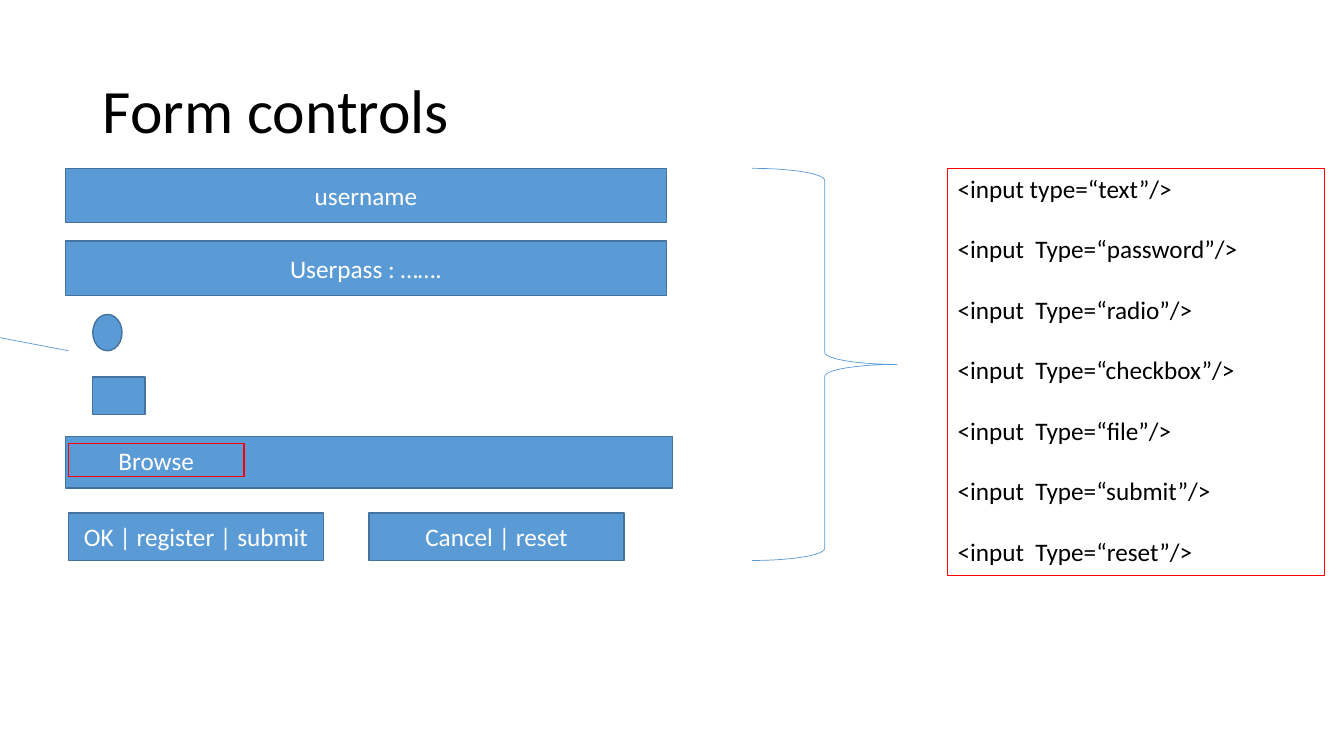
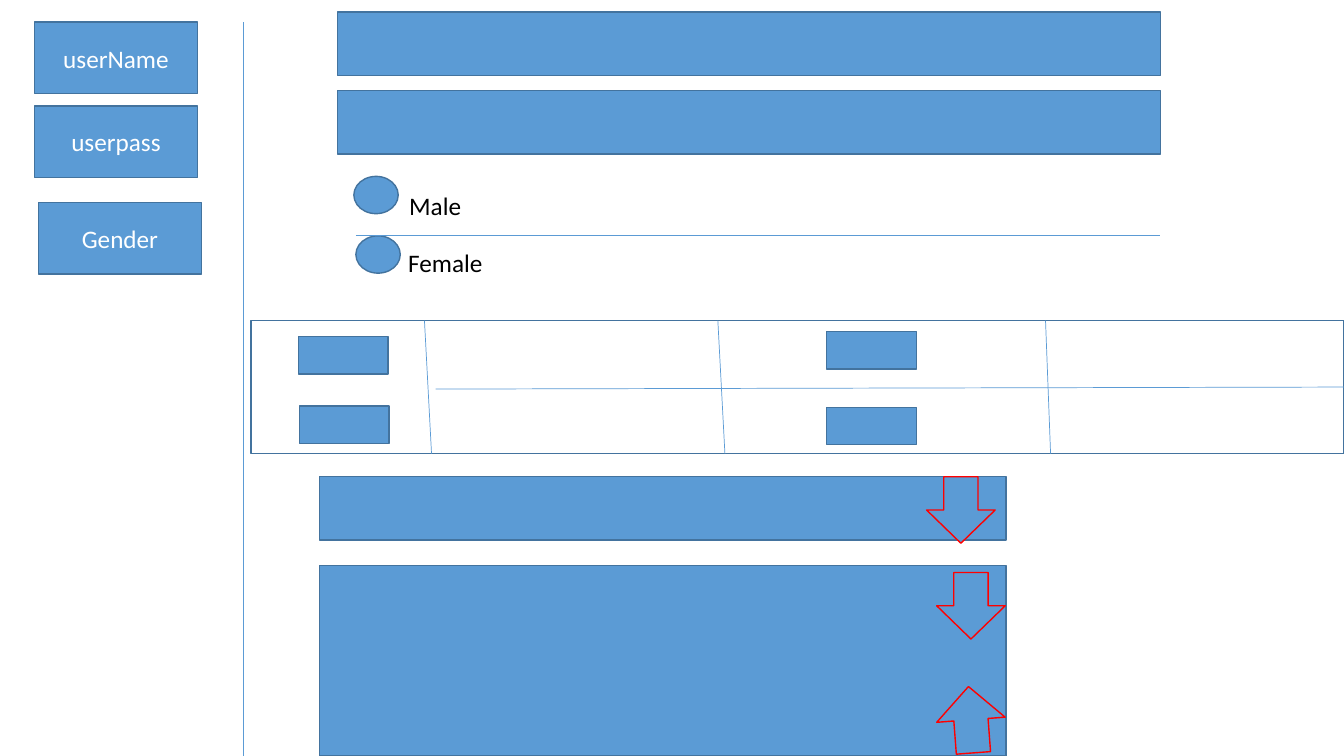
from dataclasses import dataclass
from typing import Optional

from lxml import etree
from pptx import Presentation
from pptx.dml.color import RGBColor
from pptx.enum.shapes import MSO_CONNECTOR, MSO_SHAPE
from pptx.enum.text import MSO_ANCHOR, PP_ALIGN
from pptx.oxml.ns import qn
from pptx.slide import Slide
from pptx.text.text import TextFrame
from pptx.util import Inches, Pt

RECT = MSO_SHAPE.RECTANGLE
OVAL = MSO_SHAPE.OVAL
ARROW = MSO_SHAPE.DOWN_ARROW
BRACE = MSO_SHAPE.RIGHT_BRACE
STRAIGHT = MSO_CONNECTOR.STRAIGHT
TOP, MIDDLE = MSO_ANCHOR.TOP, MSO_ANCHOR.MIDDLE
LEFT, CENTER = PP_ALIGN.LEFT, PP_ALIGN.CENTER

FONT = "Calibri"
BLUE, EDGE, RED = "5B9BD5", "43739E", "FF0000"
BLACK, WHITE = "000000", "FFFFFF"


@dataclass
class Box:
    """A preset shape with optional centred text; lengths in inches."""
    left: float
    top: float
    width: float
    height: float
    text: str = ""
    kind: MSO_SHAPE = RECT
    fill: Optional[str] = BLUE
    edge: str = EDGE
    edge_width: float = 1
    rotation: float = 0


@dataclass
class Line:
    """A thin straight line between two points in inches."""
    x1: float
    y1: float
    x2: float
    y2: float


@dataclass
class Label:
    """Left-aligned text; a new line starts a new paragraph."""
    left: float
    top: float
    width: float
    height: float
    text: str
    size: float = 18
    anchor: MSO_ANCHOR = TOP
    line_spacing: float = 1.0
    gap: float = 0
    border: Optional[str] = None


def rgb(value: str) -> RGBColor:
    """Turn a hex string into a colour."""
    return RGBColor.from_string(value)


def set_text(frame: TextFrame, text: str, size: float, color: str,
             align: PP_ALIGN, anchor: MSO_ANCHOR) -> None:
    """Write text into a frame and format all of its runs."""
    frame.text = text
    frame.word_wrap = True
    frame.vertical_anchor = anchor
    for paragraph in frame.paragraphs:
        paragraph.alignment = align
        for run in paragraph.runs:
            run.font.name = FONT
            run.font.size = Pt(size)
            run.font.color.rgb = rgb(color)


def draw_box(slide: Slide, box: Box) -> None:
    """Draw one preset shape."""
    shape = slide.shapes.add_shape(box.kind, Inches(box.left), Inches(box.top),
                                   Inches(box.width), Inches(box.height))
    shape.shadow.inherit = False
    shape.rotation = box.rotation
    if box.fill:
        shape.fill.solid()
        shape.fill.fore_color.rgb = rgb(box.fill)
    else:
        shape.fill.background()
    shape.line.color.rgb = rgb(box.edge)
    shape.line.width = Pt(box.edge_width)
    if box.text:
        set_text(shape.text_frame, box.text, 18, WHITE, CENTER, MIDDLE)


def draw_line(slide: Slide, line: Line) -> None:
    """Draw one line without a shadow."""
    connector = slide.shapes.add_connector(
        STRAIGHT, Inches(line.x1), Inches(line.y1), Inches(line.x2), Inches(line.y2))
    connector.line.color.rgb = rgb(BLUE)
    connector.line.width = Pt(0.5)
    etree.SubElement(connector._element.spPr, qn("a:effectLst"))


def draw_label(slide: Slide, label: Label) -> None:
    """Draw one text box, with a border if it has one."""
    text_box = slide.shapes.add_textbox(Inches(label.left), Inches(label.top),
                                        Inches(label.width), Inches(label.height))
    frame = text_box.text_frame
    set_text(frame, label.text, label.size, BLACK, LEFT, label.anchor)
    for index, paragraph in enumerate(frame.paragraphs):
        paragraph.line_spacing = label.line_spacing
        paragraph.space_before = Pt(label.gap if index else 0)
    if label.border:
        text_box.line.color.rgb = rgb(label.border)
        text_box.line.width = Pt(0.75)


def build_slide(deck: Presentation, boxes: list[Box], lines: list[Line],
                labels: list[Label]) -> None:
    """Add a blank slide and draw its parts from back to front."""
    slide = deck.slides.add_slide(deck.slide_layouts[6])
    for box in boxes:
        draw_box(slide, box)
    for line in lines:
        draw_line(slide, line)
    for label in labels:
        draw_label(slide, label)


def build_controls(deck: Presentation) -> None:
    """Form controls beside the input tags that make them."""
    controls = [
        Box(0.65, 1.67, 5.96, 0.54, "username"),
        Box(0.65, 2.39, 5.96, 0.54, "Userpass : …….")
        ,
        Box(0.92, 3.12, 0.29, 0.36, kind=OVAL),
        Box(0.92, 3.74, 0.52, 0.37),
        Box(0.65, 4.33, 6.02, 0.51),
        Box(0.68, 4.4, 1.74, 0.33, "Browse", edge=RED),
        Box(0.68, 5.09, 2.53, 0.47, "OK | register | submit"),
        Box(3.66, 5.09, 2.53, 0.47, "Cancel | reset"),
        Box(7.46, 1.67, 1.44, 3.89, kind=BRACE, fill=None, edge=BLUE, edge_width=0.5),
    ]
    other_types = ["password", "radio", "checkbox", "file", "submit", "reset"]
    tags = ["<input type=“text”/>"] + [f"<input  Type=“{name}”/>" for name in other_types]
    title = Label(0.92, 0.4, 11.5, 1.45, "Form controls", size=44,
                  anchor=MIDDLE, line_spacing=0.9)
    tag_panel = Label(9.4, 1.67, 3.74, 4.04, "\n".join(tags), gap=21.6, border=RED)
    radio_pointer = Line(0.68, 3.48, 0, 3.35)
    build_slide(deck, controls, [radio_pointer], [title, tag_panel])


def build_form(deck: Presentation) -> None:
    """A form layout with captions on the left and fields on the right."""
    captions = [Box(left, top, 1.62, 0.71, text) for left, top, text in
                [(0.34, 0.22, "userName"), (0.34, 1.05, "userpass"), (0.38, 2.01, "Gender")]]
    text_fields = [Box(3.35, top, 8.16, 0.63) for top in (0.12, 0.9)]
    radios = [Box(left, top, 0.44, 0.37, kind=OVAL)
              for left, top in [(3.51, 1.75), (3.53, 2.34)]]
    grid_top, grid_bottom = 3.18, 4.5
    grid = Box(2.49, grid_top, 10.84, grid_bottom - grid_top, fill=None)
    checkboxes = [Box(left, top, 0.89, 0.37) for left, top in
                  [(2.96, 3.34), (2.97, 4.03), (8.2, 4.04), (8.2, 3.29)]]
    lists = [Box(3.17, 4.73, 6.81, 0.63), Box(3.17, 5.61, 6.81, 1.89)]
    arrows = [Box(left, top, 0.68, 0.66, kind=ARROW, edge=RED, rotation=turn)
              for left, top, turn in [(9.19, 4.73, 0), (9.29, 5.68, 0), (9.29, 6.81, 175.7)]]
    column_rules = [Line(upper, grid_top, lower, grid_bottom) for upper, lower in
                    [(4.21, 4.28), (7.12, 7.19), (10.37, 10.42)]]
    row_rule = Line(4.32, 3.86, 13.33, 3.84)
    caption_rule = Line(2.41, 0.22, 2.41, 7.5)
    gender_rule = Line(3.53, 2.34, 11.51, 2.34)
    genders = [Label(3.96, 1.84, 3.01, 0.4, "Male"), Label(3.95, 2.4, 3.01, 0.4, "Female")]
    build_slide(deck,
                [*text_fields, *radios, grid, *checkboxes, *lists, *arrows, *captions],
                [row_rule, *column_rules, caption_rule, gender_rule], genders)


def main() -> None:
    """Build and save the deck."""
    deck = Presentation()
    deck.slide_width, deck.slide_height = Inches(13.33), Inches(7.5)
    build_controls(deck)
    build_form(deck)
    deck.save("out.pptx")


main()
